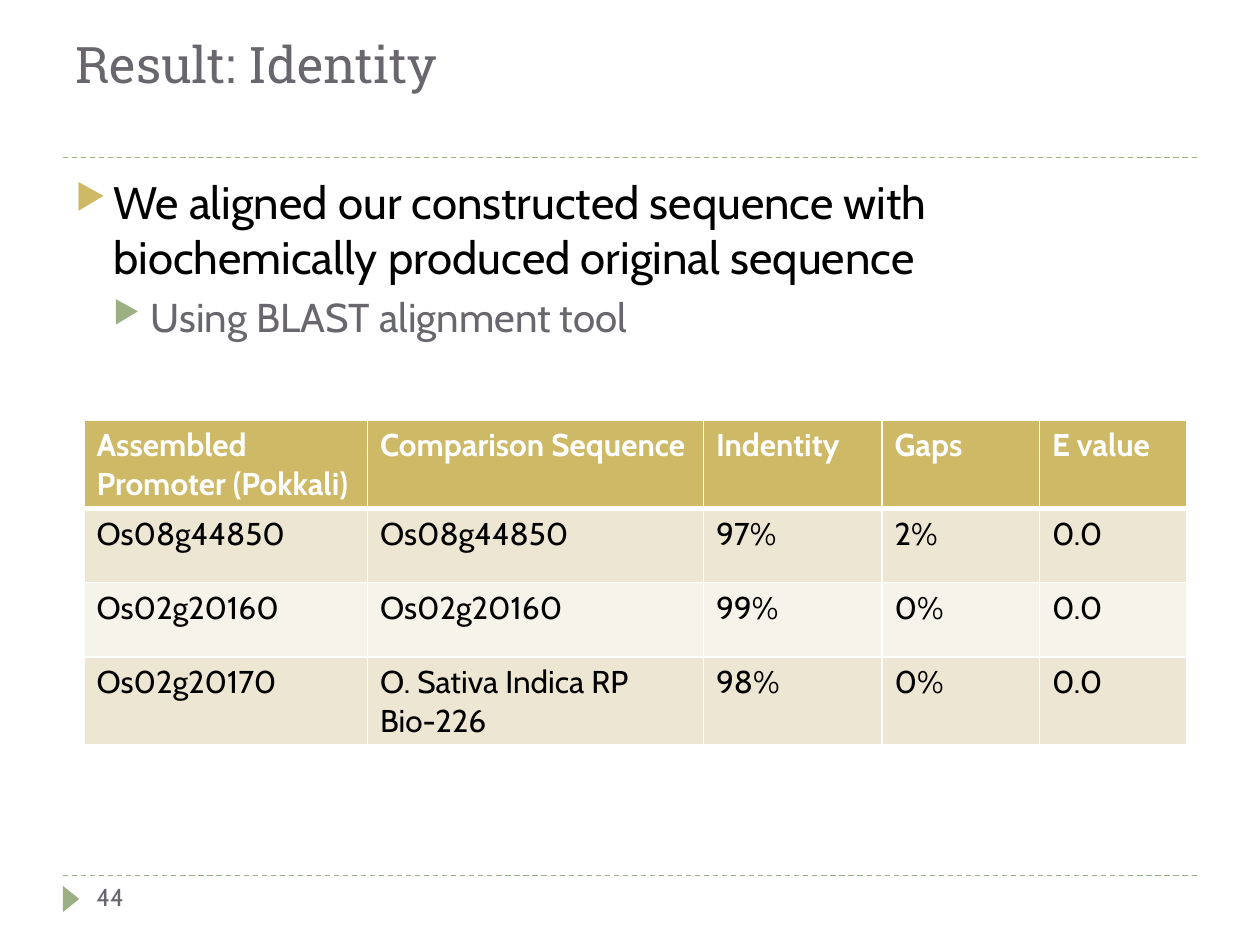
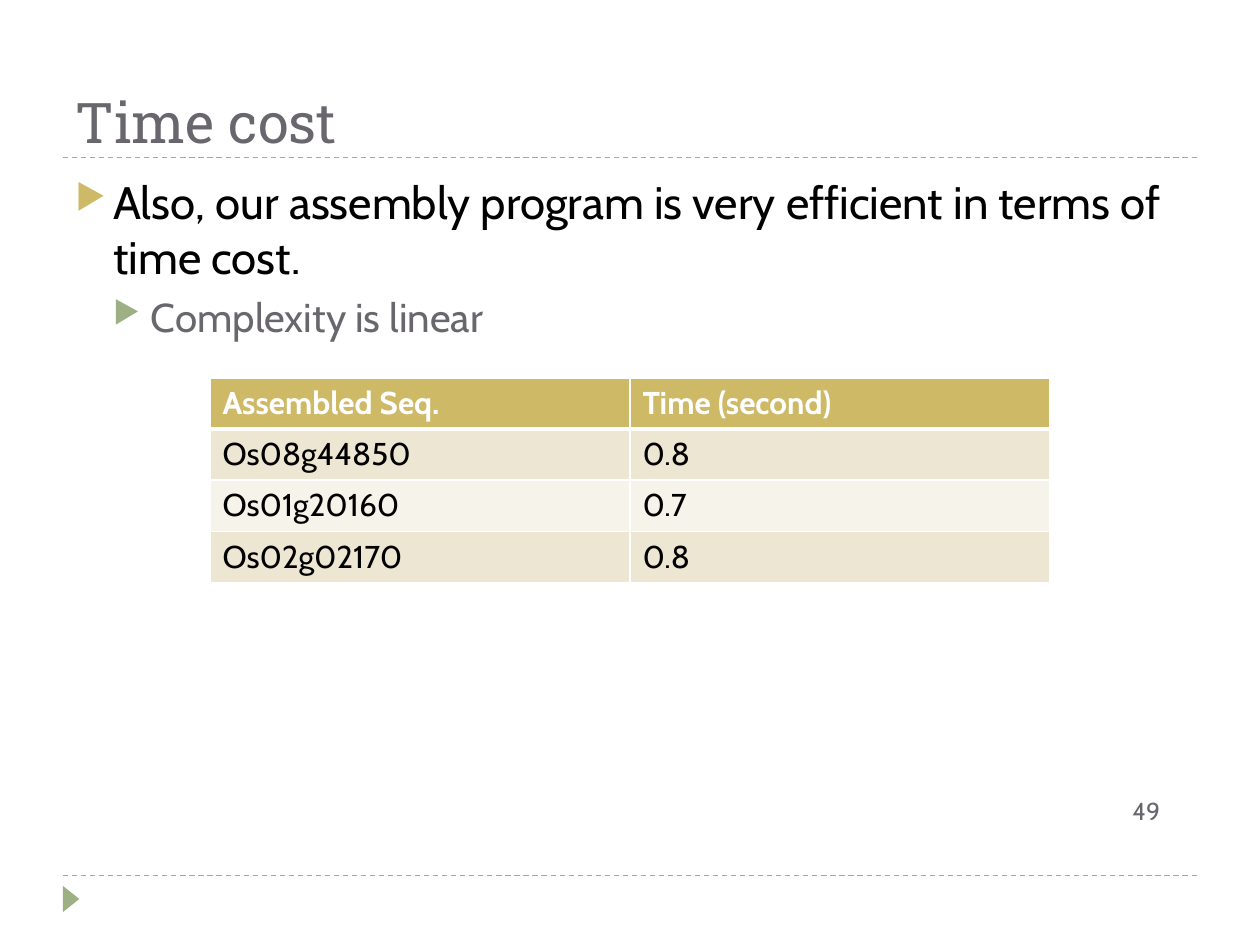
"""Build two result slides that pair bullet points with a banded table."""
import pptx
import pptx.dml.color
import pptx.enum.dml
import pptx.enum.shapes
import pptx.enum.text
import pptx.oxml
import pptx.util
from lxml import etree

Pt = pptx.util.Pt
RGBColor = pptx.dml.color.RGBColor
NAMESPACE = "http://schemas.openxmlformats.org/drawingml/2006/main"
TITLE_FONT, BODY_FONT = "Roboto Slab", "Cabin"
COLOURS = {
    "gold": "CEB966",
    "green": "9CB084",
    "grey": "69676D",
    "black": "000000",
    "white": "FFFFFF",
    "band dark": "EDE6D3",
    "band light": "F6F3EA",
}
BULLET_LEVELS = [
    {"size": 26, "colour": "black", "bullet": "gold", "before": 6},
    {"size": 23, "colour": "grey", "bullet": "green", "before": 5},
]
INDENT = 21.6

SLIDES = [
    {
        "title": "Result: Identity",
        "title size": 28.8,
        "title bottom margin": 36.5,
        "bullets": [
            "We aligned our constructed sequence with biochemically produced original sequence",
            "Using BLAST alignment tool",
        ],
        "number": "44",
        "number box": (48, 500.4, 156, 28.8),
        "table origin": (48, 240),
        "column widths": [162, 192, 102, 90, 84],
        "row height": 42.5,
        "rows": [
            ["Assembled Promoter (Pokkali)", "Comparison Sequence", "Indentity", "Gaps", "E value"],
            ["Os08g44850", "Os08g44850", "97%", "2%", "0.0"],
            ["Os02g20160", "Os02g20160", "99%", "0%", "0.0"],
            ["Os02g20170", "O. Sativa Indica RP Bio-226", "98%", "0%", "0.0"],
        ],
    },
    {
        "title": "Time cost",
        "title size": 32,
        "title bottom margin": 1.3,
        "bullets": [
            "Also, our assembly program is very efficient in terms of time cost.",
            "Complexity is linear",
        ],
        "number": "49",
        "number box": (640, 451.4, 48, 41),
        "table origin": (120, 216),
        "column widths": [240, 240],
        "row height": 29.2,
        "rows": [
            ["Assembled Seq.", "Time (second)"],
            ["Os08g44850", "0.8"],
            ["Os01g20160", "0.7"],
            ["Os02g02170", "0.8"],
        ],
    },
]


def set_font(paragraph, name, size, colour, bold=False):
    paragraph.font.name = name
    paragraph.font.size = Pt(size)
    paragraph.font.bold = bold
    paragraph.font.color.rgb = RGBColor.from_string(COLOURS[colour])


def add_xml(parent, markup):
    root = etree.fromstring(f'<a:root xmlns:a="{NAMESPACE}">{markup}</a:root>')
    for child in root:
        parent.append(pptx.oxml.parse_xml(etree.tostring(child)))


presentation = pptx.Presentation()
presentation.slide_width = Pt(720)
presentation.slide_height = Pt(540)

for content in SLIDES:
    slide = presentation.slides.add_slide(presentation.slide_layouts[5])

    for rule_y in (500.4, 90):
        rule = slide.shapes.add_connector(
            pptx.enum.shapes.MSO_CONNECTOR.STRAIGHT, Pt(36), Pt(rule_y), Pt(684), Pt(rule_y)
        )
        rule.line.color.rgb = RGBColor.from_string(COLOURS["green"])
        rule.line.width = Pt(0.75)
        rule.line.dash_style = pptx.enum.dml.MSO_LINE.DASH
        add_xml(rule.element.spPr, "<a:effectLst/>")

    marker = slide.shapes.add_shape(
        pptx.enum.shapes.MSO_SHAPE.ISOSCELES_TRIANGLE, Pt(33.1), Pt(509), Pt(15), Pt(9.4)
    )
    marker.rotation = 90
    marker.shadow.inherit = False
    marker.fill.solid()
    marker.fill.fore_color.rgb = RGBColor.from_string(COLOURS["green"])
    marker.line.fill.background()

    title = slide.shapes.title
    title.left, title.top, title.width, title.height = Pt(36), Pt(12), Pt(648), Pt(78)
    title_frame = title.text_frame
    title_frame.text = content["title"]
    title_frame.auto_size = pptx.enum.text.MSO_AUTO_SIZE.NONE
    title_frame.vertical_anchor = pptx.enum.text.MSO_ANCHOR.BOTTOM
    title_frame.margin_bottom = Pt(content["title bottom margin"])
    title_frame.paragraphs[0].alignment = pptx.enum.text.PP_ALIGN.LEFT
    set_font(title_frame.paragraphs[0], TITLE_FONT, content["title size"], "grey")

    body = slide.shapes.add_textbox(Pt(36), Pt(96), Pt(648), Pt(388.8))
    body.text_frame.word_wrap = True
    body.text_frame.text = "\n".join(content["bullets"])
    for level, paragraph in enumerate(body.text_frame.paragraphs):
        style = BULLET_LEVELS[level]
        paragraph.level = level
        paragraph.space_before = Pt(style["before"])
        properties = paragraph._p.get_or_add_pPr()
        properties.set("marL", str(Pt(INDENT * (level + 1))))
        properties.set("indent", str(Pt(-INDENT)))
        add_xml(
            properties,
            f'<a:buClr><a:srgbClr val="{COLOURS[style["bullet"]]}"/></a:buClr>'
            '<a:buSzPct val="76000"/><a:buChar char="▶"/>',
        )
        set_font(paragraph, BODY_FONT, style["size"], style["colour"])

    number = slide.shapes.add_textbox(*map(Pt, content["number box"]))
    number.text_frame.word_wrap = True
    number.text_frame.text = content["number"]
    set_font(number.text_frame.paragraphs[0], BODY_FONT, 14, "grey")

    rows, widths = content["rows"], content["column widths"]
    left, top = content["table origin"]
    table = slide.shapes.add_table(
        len(rows), len(widths), Pt(left), Pt(top),
        Pt(sum(widths)), Pt(content["row height"] * len(rows)),
    ).table
    for column, width in zip(table.columns, widths):
        column.width = Pt(width)
    for row_index, row in enumerate(rows):
        is_header = row_index == 0
        fill = "gold" if is_header else "band dark" if row_index % 2 else "band light"
        border_widths = {"L": 1, "R": 1, "T": 3 if row_index == 1 else 1, "B": 3 if is_header else 1}
        borders = "".join(
            f'<a:ln{side} w="{Pt(width)}"><a:solidFill><a:srgbClr val="{COLOURS["white"]}"/>'
            f"</a:solidFill></a:ln{side}>"
            for side, width in border_widths.items()
        )
        for column_index, text in enumerate(row):
            cell = table.cell(row_index, column_index)
            cell.text = text
            add_xml(cell._tc.get_or_add_tcPr(), borders)
            cell.fill.solid()
            cell.fill.fore_color.rgb = RGBColor.from_string(COLOURS[fill])
            set_font(
                cell.text_frame.paragraphs[0], BODY_FONT, 18,
                "white" if is_header else "black", is_header,
            )

presentation.save("out.pptx")
